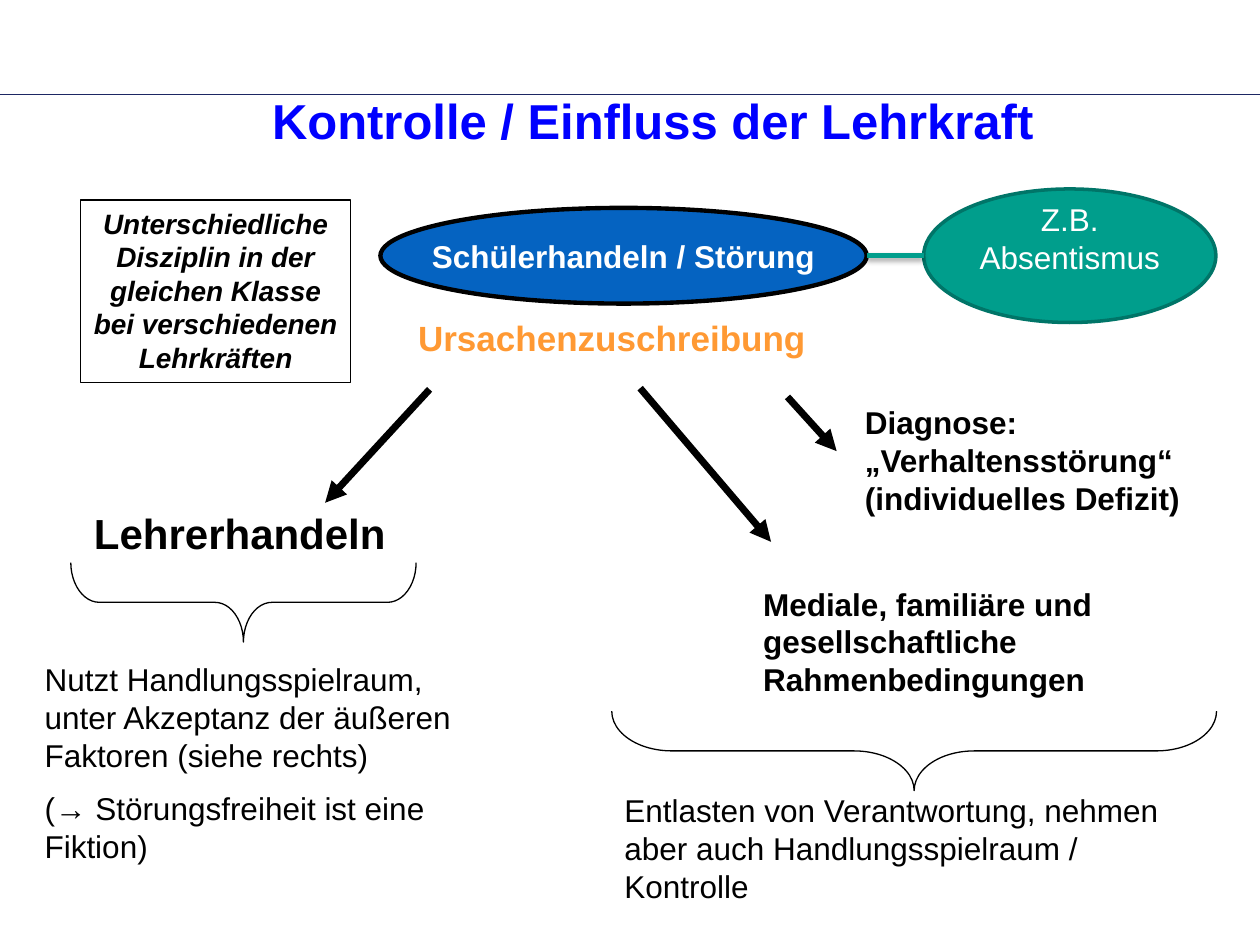
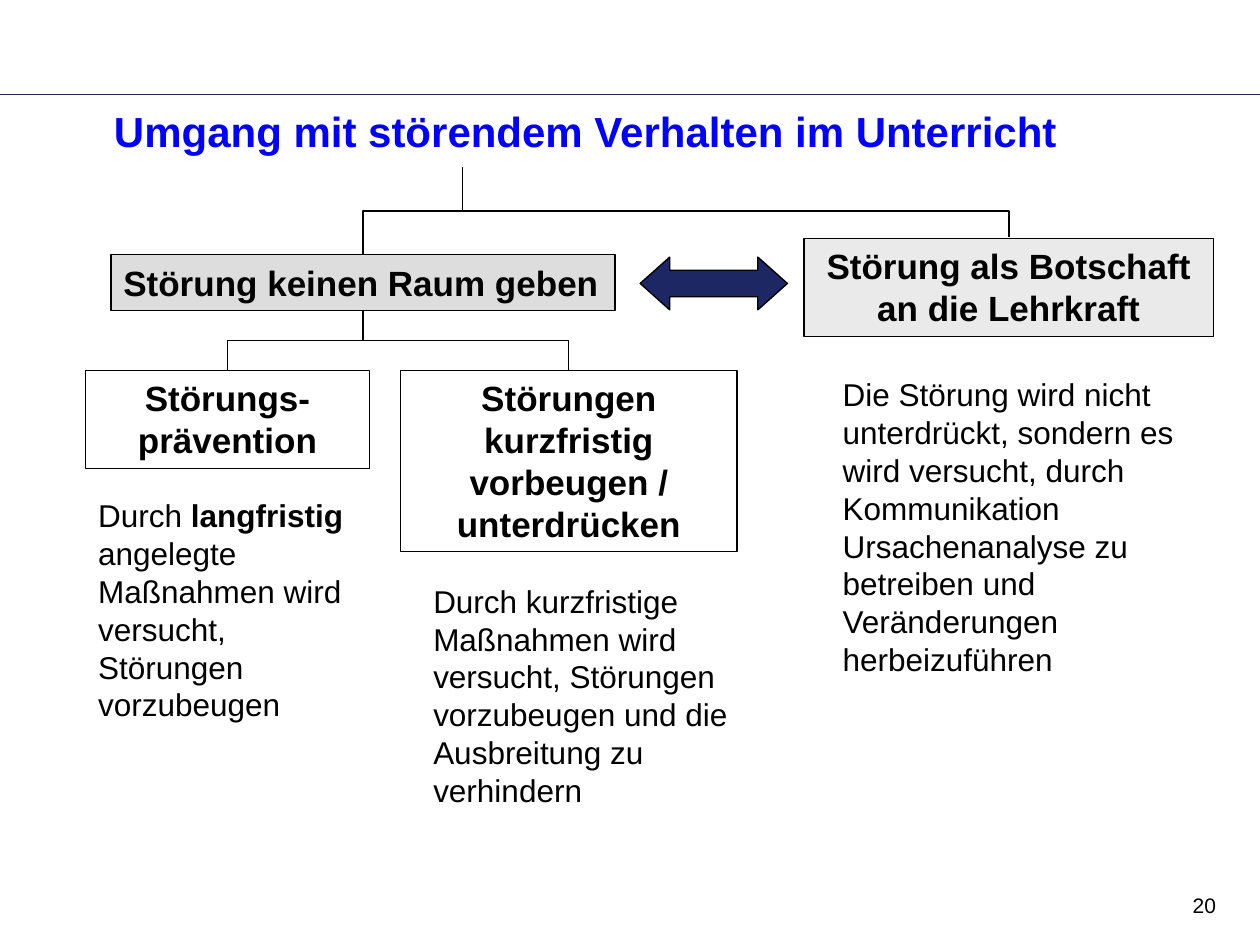
from dataclasses import dataclass

from lxml import etree
from pptx import Presentation
from pptx.dml.color import RGBColor
from pptx.enum.shapes import MSO_CONNECTOR, MSO_SHAPE
from pptx.enum.text import MSO_ANCHOR, MSO_AUTO_SIZE, PP_ALIGN
from pptx.oxml.ns import qn
from pptx.util import Pt

STRAIGHT, ELBOW = MSO_CONNECTOR.STRAIGHT, MSO_CONNECTOR.ELBOW
RECTANGLE, ELLIPSE = MSO_SHAPE.RECTANGLE, MSO_SHAPE.OVAL
LEFT_BRACE, DOUBLE_ARROW = MSO_SHAPE.LEFT_BRACE, MSO_SHAPE.LEFT_RIGHT_ARROW
LEFT, CENTER, RIGHT = PP_ALIGN.LEFT, PP_ALIGN.CENTER, PP_ALIGN.RIGHT
TOP, MIDDLE = MSO_ANCHOR.TOP, MSO_ANCHOR.MIDDLE
NO_FIT, GROW = MSO_AUTO_SIZE.NONE, MSO_AUTO_SIZE.SHAPE_TO_FIT_TEXT
TITLE_ONLY = 5


@dataclass(frozen=True)
class Theme:
    """Colours and type sizes of the deck."""

    font: str = "Arial"
    title: str = "0000FF"
    ink: str = "000000"
    white: str = "FFFFFF"
    navy: str = "1D2763"
    blue: str = "0563C1"
    teal: str = "009E8C"
    dark_teal: str = "007568"
    orange: str = "FF9933"
    gray: str = "DDDDDD"
    light_gray: str = "EAEAEA"
    number_size: int = 12
    note_size: int = 16
    body_size: int = 18
    box_size: int = 20
    head_size: int = 24
    title_size: int = 28
    thin: float = 0.75
    thick: float = 4


THEME = Theme()


def color(value):
    """Turn a hex value into a colour."""
    return RGBColor.from_string(value)


def write(shape, paragraphs, size, ink=THEME.ink, bold=False, italic=False,
          align=LEFT, anchor=TOP, fit=GROW, wrap=True):
    """Write paragraphs, each a text or a list of (text, bold) spans."""
    frame = shape.text_frame
    frame.word_wrap, frame.auto_size, frame.vertical_anchor = wrap, fit, anchor
    for index, spans in enumerate(paragraphs):
        para = frame.add_paragraph() if index else frame.paragraphs[0]
        para.alignment = align
        if index:
            para.space_before = Pt(size / 2)
        if isinstance(spans, str):
            spans = [(spans, bold)]
        for text, strong in spans:
            span = para.add_run()
            span.text = text
            font = span.font
            font.name, font.size, font.color.rgb = THEME.font, Pt(size), color(ink)
            font.bold, font.italic = strong, italic


def add_title(page, text, place, size):
    """Place and format the title."""
    title = page.shapes.title
    title.left, title.top, title.width, title.height = map(Pt, place)
    write(title, [text], size, THEME.title, True, align=CENTER, anchor=MIDDLE, fit=NO_FIT)


def add_text(page, place, paragraphs, size=THEME.body_size, **style):
    """Add a text box."""
    write(page.shapes.add_textbox(*map(Pt, place)), paragraphs, size, **style)


def add_figure(page, kind, place, fill=None, line=THEME.ink, width=THEME.thin):
    """Add a preset shape with plain fill and outline."""
    figure = page.shapes.add_shape(kind, *map(Pt, place))
    figure.shadow.inherit = False
    if fill:
        figure.fill.solid()
        figure.fill.fore_color.rgb = color(fill)
    else:
        figure.fill.background()
    figure.line.color.rgb = color(line)
    figure.line.width = Pt(width)
    return figure


def add_box(page, place, text, size=THEME.box_size, fill=None, align=CENTER, italic=False):
    """Add an outlined box with bold text."""
    box = add_figure(page, RECTANGLE, place, fill)
    write(box, [text], size, bold=True, italic=italic, align=align)


def add_brace(page, left, top, width, height, curve):
    """Add a brace that spans the width and points down."""
    place = (left + (width - height) / 2, top + (height - width) / 2, height, width)
    brace = add_figure(page, LEFT_BRACE, place)
    brace.rotation = 270
    brace.adjustments[0] = curve


def add_line(page, start, end, ink=THEME.ink, width=THEME.thin, kind=STRAIGHT):
    """Add a connector without shadow."""
    line = page.shapes.add_connector(kind, *map(Pt, (*start, *end)))
    line.line.color.rgb = color(ink)
    line.line.width = Pt(width)
    etree.SubElement(line._element.spPr, qn("a:effectLst"))
    return line


def add_arrow(page, start, end):
    """Add a thick arrow."""
    arrow = add_line(page, start, end, width=THEME.thick)
    etree.SubElement(arrow.line._get_or_add_ln(), qn("a:tailEnd"), type="triangle")


def add_soft_shadow(line):
    """Give a connector a soft shadow below it."""
    effects = line._element.spPr.find(qn("a:effectLst"))
    shadow = etree.SubElement(effects, qn("a:outerShdw"), blurRad=str(Pt(3.1)),
                              dist=str(Pt(1.8)), dir="5400000", rotWithShape="0")
    tint = etree.SubElement(shadow, qn("a:srgbClr"), val=THEME.ink)
    etree.SubElement(tint, qn("a:alpha"), val="35000")


def add_branch(page, start, end):
    """Add an elbow that leaves downwards and turns halfway."""
    (x1, y1), (x2, y2) = start, end
    middle_x, middle_y = (x1 + x2) / 2, (y1 + y2) / 2
    half_width, half_height = (y2 - y1) / 2, abs(x2 - x1) / 2
    to_right = x2 > x1
    reach = half_width if to_right else -half_width
    branch = add_line(page, (middle_x + reach, middle_y - half_height),
                      (middle_x - reach, middle_y + half_height), kind=ELBOW)
    turn = 270 if to_right else 90
    branch._element.spPr.find(qn("a:xfrm")).set("rot", str(turn * 60000))


def add_side_branch(page, start, end):
    """Add an elbow that runs sideways and drops at its end."""
    branch = add_line(page, start, end, kind=ELBOW)
    guides = branch._element.spPr.find(qn("a:prstGeom")).get_or_add_avLst()
    etree.SubElement(guides, qn("a:gd"), name="adj1", fmla="val 100000")


def add_master_rule(page, width):
    """Put the header rule on the slide master."""
    rule = add_line(page, (0, 54), (width, 54), THEME.navy, 0.25)
    page.slide_layout.slide_master.shapes._spTree.append(rule._element)


def build_influence(page):
    """Build the slide on the teacher's influence."""
    add_title(page, "Kontrolle / Einfluss der Lehrkraft", (49, 29.5, 648, 77.8),
              THEME.title_size)
    behaviour = add_figure(page, ELLIPSE, (217.4, 118.8, 277.9, 54.7), THEME.blue, width=2.5)
    write(behaviour, ["Schülerhandeln / Störung"], THEME.body_size, THEME.white, True,
          align=CENTER, anchor=MIDDLE, fit=NO_FIT, wrap=False)
    example = add_figure(page, ELLIPSE, (527.8, 108, 167, 76.3), THEME.teal,
                         THEME.dark_teal, 2)
    write(example, ["Z.B. Absentismus"], THEME.body_size, THEME.white,
          align=CENTER, anchor=MIDDLE, fit=NO_FIT)
    frame = example.text_frame
    frame.margin_left = frame.margin_right = frame.margin_top = 0
    frame.margin_bottom = Pt(20.7)
    add_soft_shadow(add_line(page, (495.3, 146.2), (527.8, 146.2), THEME.teal, 3))

    add_box(page, (46, 114.2, 154.4, 104.4),
            "Unterschiedliche Disziplin in der gleichen Klasse bei verschiedenen Lehrkräften",
            THEME.note_size, italic=True)
    add_text(page, (231.8, 177.1, 243.4, 31), ["Ursachenzuschreibung"], THEME.box_size,
             ink=THEME.orange, bold=True)
    add_text(page, (487.2, 226.8, 232.6, 72),
             ["Diagnose: „Verhaltensstörung“ (individuelles Defizit)"], bold=True)
    add_text(page, (46.6, 286.6, 195.8, 36), ["Lehrerhandeln"], THEME.head_size, bold=True)
    add_text(page, (429, 330.5, 232.6, 72.7),
             ["Mediale, familiäre und gesellschaftliche Rahmenbedingungen"], bold=True)
    add_text(page, (18.4, 373.7, 272.9, 127.4),
             ["Nutzt Handlungsspielraum, unter Akzeptanz der äußeren Faktoren (siehe rechts)",
              "(→ Störungsfreiheit ist eine Fiktion)"])
    add_text(page, (349.7, 448.6, 345.6, 72.7),
             ["Entlasten von Verantwortung, nehmen aber auch Handlungsspielraum / Kontrolle"])

    add_brace(page, 40.5, 321.5, 197.3, 45.4, 0.36)
    add_brace(page, 349.6, 406.4, 345.6, 45.4, 0.756)
    for start, end in (((245.5, 222.5), (185.8, 287.3)),
                       ((365.8, 221.8), (440.6, 309.6)),
                       ((450, 226.8), (478.1, 257.8))):
        add_arrow(page, start, end)


def build_handling(page):
    """Build the slide on ways of handling disruption."""
    add_title(page, "Umgang mit störendem Verhalten im Unterricht", (34.6, 50.4, 599.8, 48.2),
              THEME.head_size)
    add_box(page, (63.4, 145.6, 288, 32), "Störung keinen Raum geben",
            fill=THEME.gray, align=LEFT)
    add_box(page, (459.4, 136.1, 234, 56.2), "Störung als Botschaft an die Lehrkraft",
            fill=THEME.light_gray)
    add_box(page, (49, 211.7, 162, 56.2), "Störungs-prävention")
    add_box(page, (229, 211.7, 192.2, 103.7),
            "Störungen kurzfristig vorbeugen / unterdrücken")
    contrast = add_figure(page, DOUBLE_ARROW, (365.8, 146.9, 84.2, 30.2), THEME.navy)
    contrast.adjustments[1] = 0.56

    add_text(page, (49, 280.1, 162, 136.8),
             [[("Durch ", False), ("langfristig", True),
               (" angelegte Maßnahmen wird versucht, Störungen vorzubeugen", False)]])
    add_text(page, (240.5, 329, 185.8, 136.8),
             ["Durch kurzfristige Maßnahmen wird versucht, Störungen vorzubeugen "
              "und die Ausbreitung zu verhindern"])
    add_text(page, (474.5, 211, 203.8, 180),
             ["Die Störung wird nicht unterdrückt, sondern es wird versucht, durch "
              "Kommunikation Ursachenanalyse zu betreiben und Veränderungen herbeizuführen"])

    root, fork, trunk = (264.2, 95.6), (264.2, 120.6), 207.4
    add_branch(page, root, (trunk, 145.6))
    add_side_branch(page, fork, (576.6, 135.4))
    for child in (130, 325):
        add_branch(page, (trunk, 177.6), (child, 211.7))
    add_text(page, (655.2, 502.6, 46.8, 28.8), ["20"], THEME.number_size,
             align=RIGHT, anchor=MIDDLE, fit=NO_FIT)


def main():
    """Build and save the deck."""
    deck = Presentation()
    deck.slide_width, deck.slide_height = Pt(720), Pt(540)
    layout = deck.slide_layouts[TITLE_ONLY]
    pages = [deck.slides.add_slide(layout) for _ in range(2)]
    add_master_rule(pages[0], 720)
    build_influence(pages[0])
    build_handling(pages[1])
    deck.save("out.pptx")


if __name__ == "__main__":
    main()
